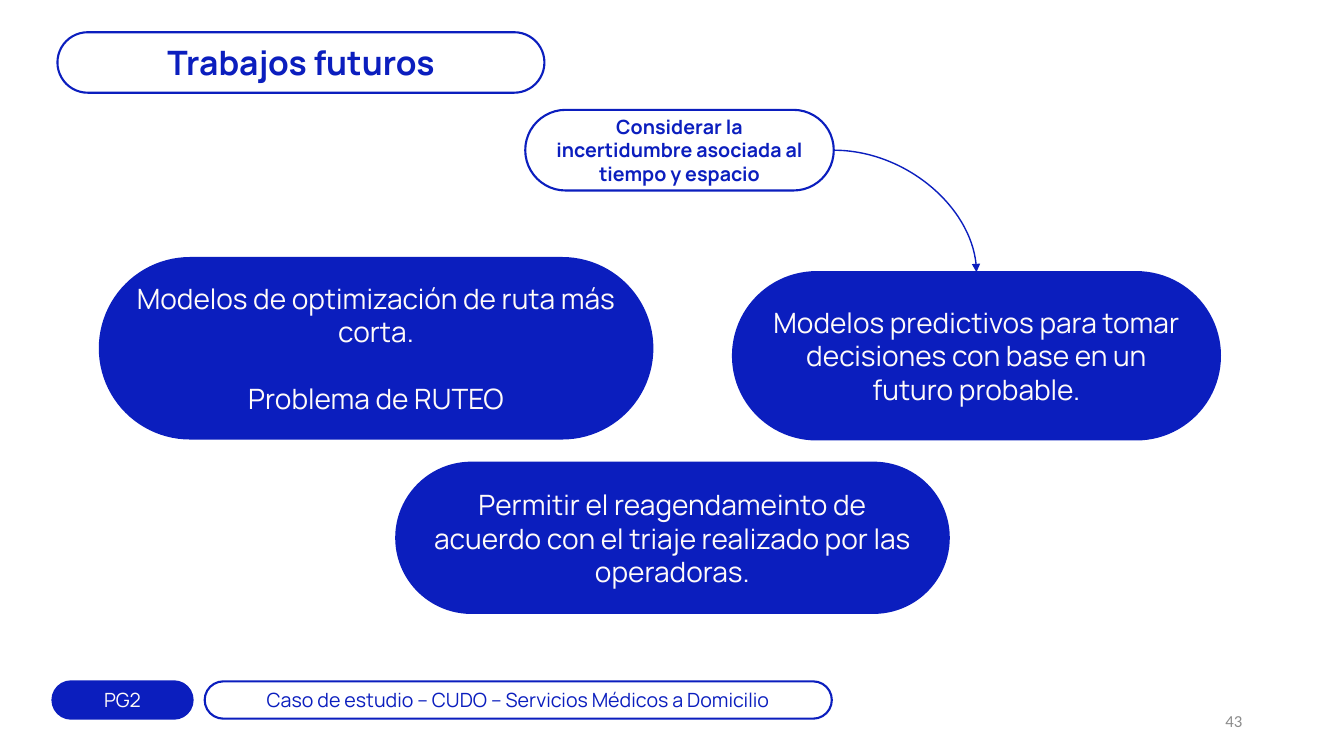
from pptx import Presentation
from pptx.dml.color import RGBColor
from pptx.enum.shapes import MSO_CONNECTOR as Connector, MSO_SHAPE as Shape
from pptx.enum.text import MSO_ANCHOR as Anchor, MSO_AUTO_SIZE as AutoSize, PP_ALIGN as Align
from pptx.oxml import parse_xml
from pptx.oxml.ns import nsdecls
from pptx.util import Inches, Pt

BLUE, CREAM, WHITE, GRAY = "0B1EBE", "FFFBF9", "FFFFFF", "8C8C8C"

TITLE = ("Trabajos futuros", (0.57, 0.32, 4.83, 0.6))
UNCERTAINTY = ("Considerar la incertidumbre asociada al tiempo y espacio", (5.21, 1.09, 3.06, 0.8))
PREDICTION = (
    "Modelos predictivos para tomar decisiones con base en un futuro probable.",
    (7.27, 2.7, 4.83, 1.66),
)
OTHER_IDEAS = [
    ("Modelos de optimización de ruta más corta.\nProblema de RUTEO", (0.99, 2.56, 5.48, 1.79)),
    (
        "Permitir el reagendameinto de acuerdo con el triaje realizado por las operadoras.",
        (3.93, 4.59, 5.48, 1.49),
    ),
]
FOOTER_TAG = ("PG2", (0.52, 6.76, 1.39, 0.37))
FOOTER_CASE = ("Caso de estudio – CUDO – Servicios Médicos a Domicilio", (2.03, 6.76, 6.22, 0.37))
PAGE_NUMBER = ("43", (9.42, 6.95, 3, 0.4))


def rgb(color):
    return RGBColor.from_string(color)


def write(shape, text, size, color, bold=False, font="Manrope", align=Align.CENTER, gap=24):
    """Fill a shape with one paragraph per line, separated by gap points."""
    frame = shape.text_frame
    frame.word_wrap = True
    frame.auto_size = AutoSize.NONE
    frame.vertical_anchor = Anchor.MIDDLE
    frame.margin_left = frame.margin_right = Inches(0.1)
    frame.margin_top = frame.margin_bottom = Inches(0.1)
    frame.text = text
    for index, paragraph in enumerate(frame.paragraphs):
        paragraph.alignment = align
        paragraph.space_before = Pt(gap if index else 0)
        paragraph.font.name = font
        paragraph.font.size = Pt(size)
        paragraph.font.bold = bold
        paragraph.font.color.rgb = rgb(color)


def add_outline(slide, box, fill=None):
    """Draw an empty pill with a blue line."""
    shape = slide.shapes.add_shape(Shape.ROUNDED_RECTANGLE, *map(Inches, box))
    shape.adjustments[0] = 0.5
    shape.shadow.inherit = False
    if fill:
        shape.fill.solid()
        shape.fill.fore_color.rgb = rgb(fill)
    else:
        shape.fill.background()
    shape.line.color.rgb = rgb(BLUE)
    shape.line.width = Pt(1.5)
    return shape


def add_pill(slide, content, size, color, fill=None, bold=False):
    text, box = content
    shape = add_outline(slide, box, fill)
    write(shape, text, size, color, bold)
    return shape


def add_title(slide):
    text, box = TITLE
    title = slide.shapes.title
    title.left, title.top, title.width, title.height = map(Inches, box)
    write(title, text, 24, BLUE, bold=True)
    add_outline(slide, box)


def add_curved_arrow(slide, source, target):
    """Curve from the right side of source to the top of target."""
    arrow = slide.shapes.add_connector(Connector.CURVE, 0, 0, 0, 0)
    arrow.begin_connect(source, 3)
    arrow.end_connect(target, 0)
    arrow.line.color.rgb = rgb(BLUE)
    arrow.line.width = Pt(1)
    properties = arrow._element.spPr
    properties.prstGeom.set("prst", "curvedConnector2")
    arrow.line._get_or_add_ln().append(parse_xml(f'<a:tailEnd {nsdecls("a")} type="triangle"/>'))
    properties.append(parse_xml(f'<a:effectLst {nsdecls("a")}/>'))


def main():
    presentation = Presentation()
    presentation.slide_width = Inches(13.33)
    presentation.slide_height = Inches(7.5)
    slide = presentation.slides.add_slide(presentation.slide_layouts[5])

    add_title(slide)
    add_pill(slide, FOOTER_TAG, 14, CREAM, fill=BLUE)
    add_pill(slide, FOOTER_CASE, 14, BLUE)
    for idea in OTHER_IDEAS:
        add_pill(slide, idea, 20, CREAM, fill=BLUE)
    prediction = add_pill(slide, PREDICTION, 20, CREAM, fill=BLUE)
    uncertainty = add_pill(slide, UNCERTAINTY, 14, BLUE, fill=WHITE, bold=True)
    add_curved_arrow(slide, uncertainty, prediction)

    text, box = PAGE_NUMBER
    number = slide.shapes.add_textbox(*map(Inches, box))
    write(number, text, 12, GRAY, font="Calibri", align=Align.RIGHT)

    presentation.save("out.pptx")


if __name__ == "__main__":
    main()
